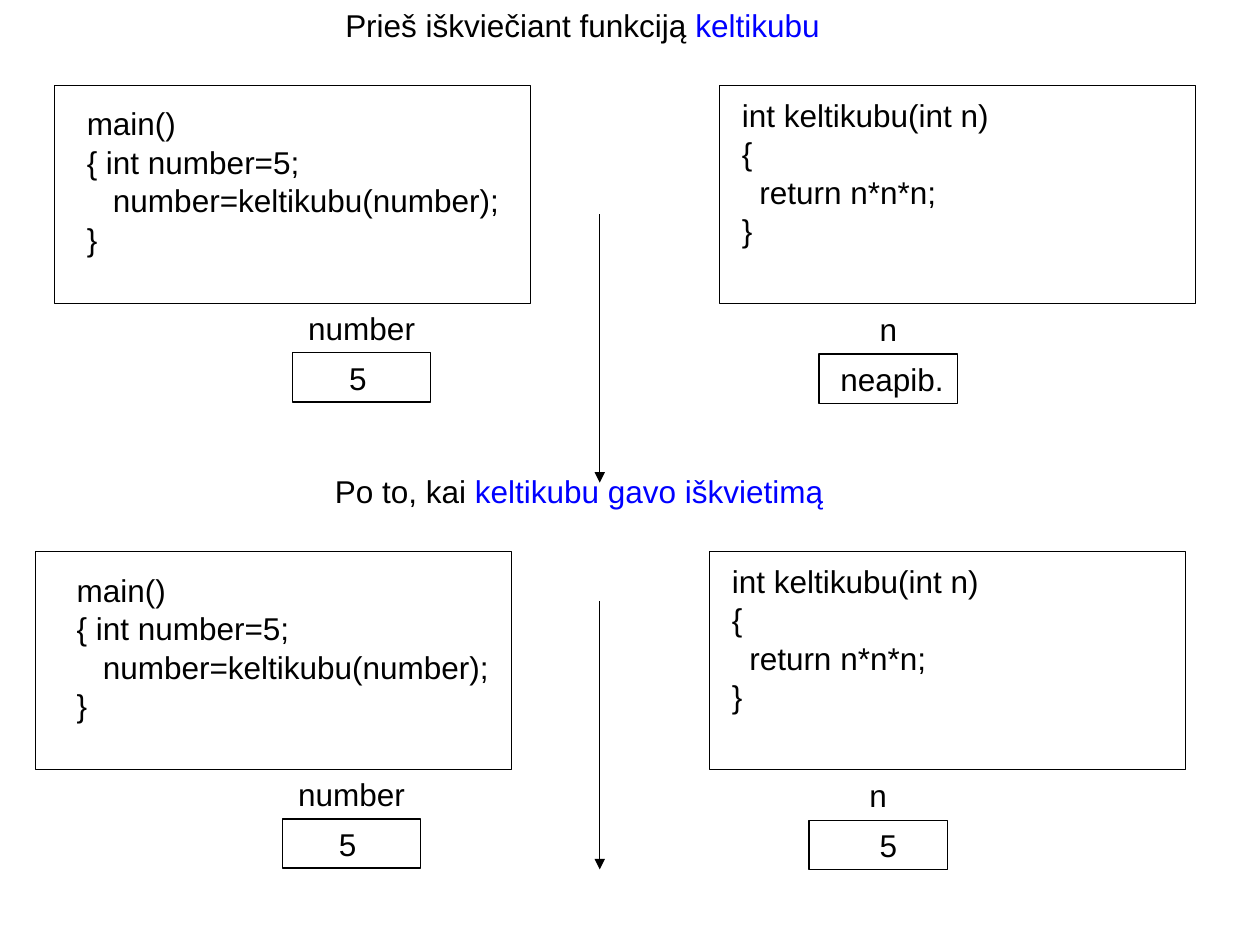
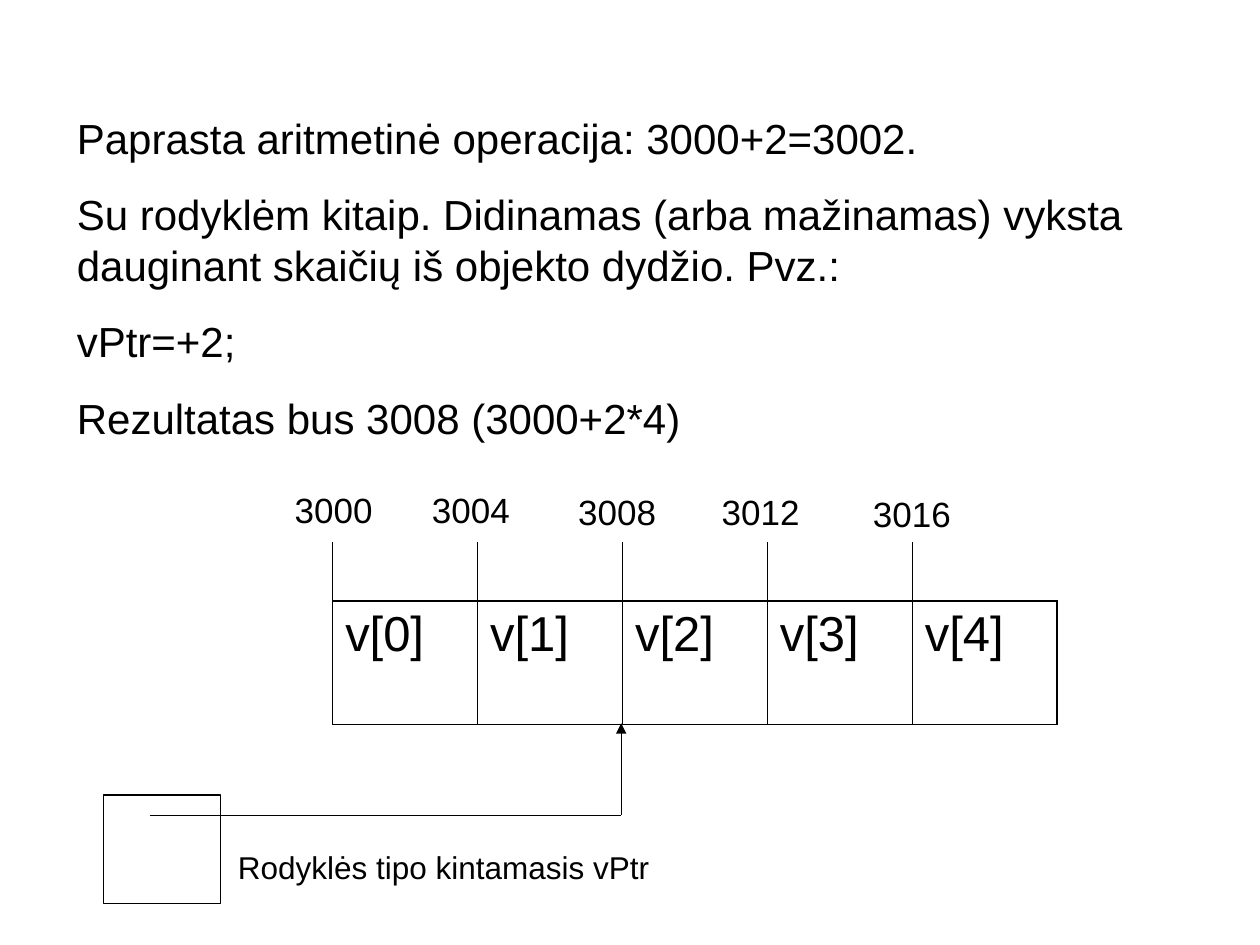
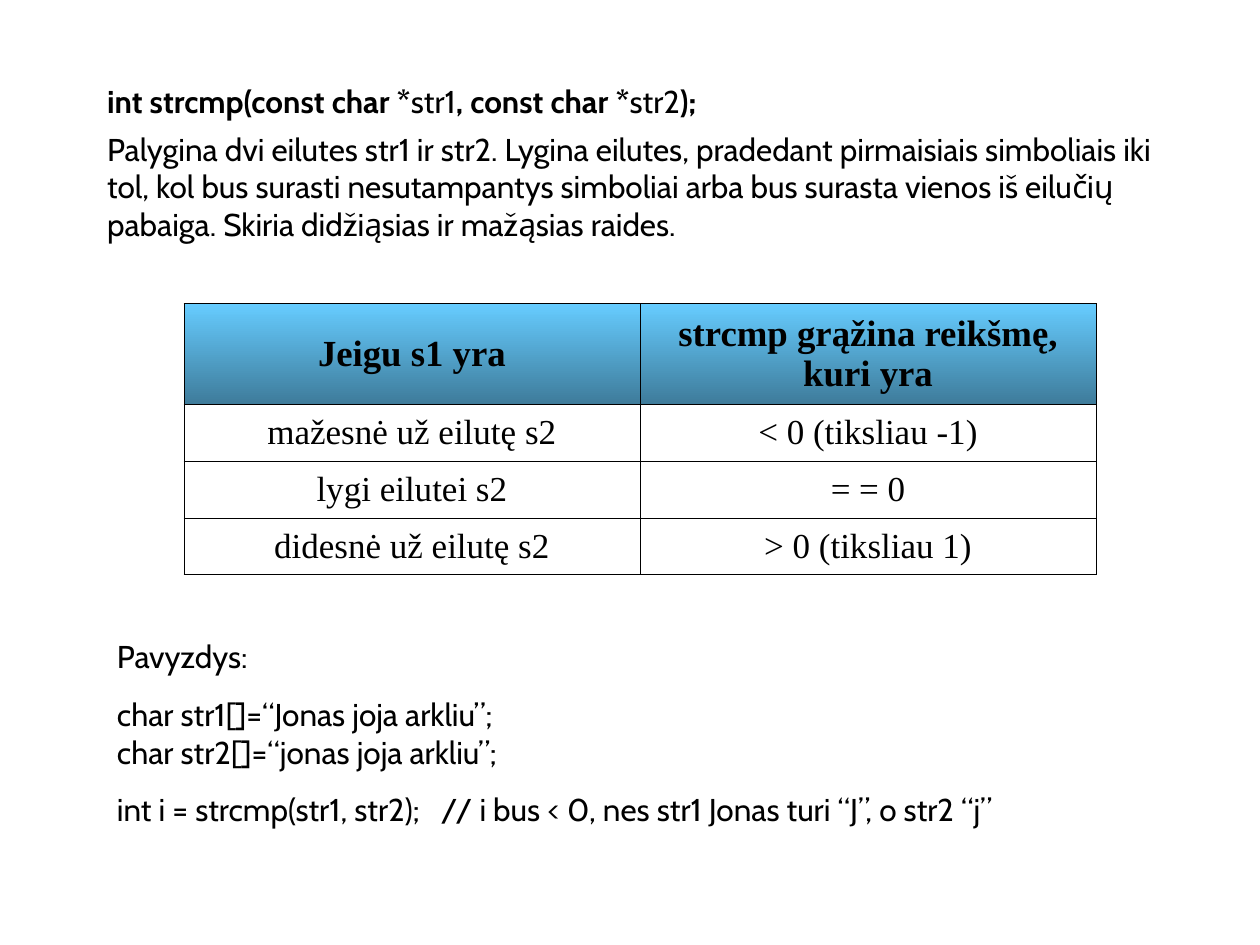
from dataclasses import dataclass, replace
from typing import Any, NamedTuple

from lxml import etree
from pptx import Presentation
from pptx import util as u
from pptx.dml.color import RGBColor
from pptx.enum import shapes, text
from pptx.oxml import ns


@dataclass(frozen=True)
class Theme:
    ink: str = "000000"
    blue: str = "0000FF"
    sky: str = "66CCFF"
    steel: str = "3E7B9A"
    sans: str = "Arial"
    soft: str = "Cabin"
    serif: str = "Times New Roman"
    note: int = 18
    mark: int = 20
    head: int = 21
    body: int = 24
    cell: int = 28
    line: float = 0.75
    thin: float = 0.45
    thick: float = 1.08


class Box(NamedTuple):
    x: float
    y: float
    w: float
    h: float


class Run(NamedTuple):
    text: str
    color: str = ""
    bold: bool = False


@dataclass(frozen=True)
class Style:
    font: str
    size: float
    before: float = 0
    pitch: float | None = None
    align: Any = text.PP_ALIGN.LEFT
    bold: bool = False


class State(NamedTuple):
    head: list[Run]
    value: str
    nudge: float
    dx: float
    dy: float
    main: float
    arrow: float


class Mark(NamedTuple):
    text: str
    x: float
    y: float


T = Theme()
WIDE, HIGH = u.Inches(10), u.Inches(7.5)
COL, ROW = WIDE / 100, HIGH / 75
MID = text.PP_ALIGN.CENTER
NOTE = Style(T.sans, T.note, 11.2)
CODE = replace(NOTE, pitch=0.5)
BODY = Style(T.sans, T.body, 15)
MARK = Style(T.sans, T.mark)
SOFT = Style(T.soft, T.note, 5.6)
CELL = Style(T.sans, T.cell)
DATA = Style(T.serif, T.mark, align=MID)
HEAD = replace(DATA, size=T.head, bold=True)

MAIN = ["main()", "{ int number=5;", "   number=keltikubu(number);", "}"]
CUBE = ["int keltikubu(int n)", "{", "  return n*n*n;", "}"]
STATES = [
    State([Run("Prieš iškviečiant funkciją "), Run("keltikubu", T.blue)],
          "neapib.", 0.3, 0, 0, 4.3, 17),
    State([Run("Po to, kai "), Run("keltikubu gavo iškvietimą", T.blue)],
          "5", 0.8, -0.8, 37, 2.8, 47.7),
]
MARKS = [
    Mark("3000", 22.4, 38.3), Mark("3004", 33.3, 38.3),
    Mark("3008", 44.9, 38.4), Mark("3012", 56.3, 38.4),
    Mark("3016", 68.3, 38.6),
]
FACTS = [
    "Paprasta aritmetinė operacija: 3000+2=3002.",
    "Su rodyklėm kitaip. Didinamas (arba mažinamas) vyksta "
    "dauginant skaičių iš objekto dydžio. Pvz.:",
    "vPtr=+2;",
    "Rezultatas bus 3008 (3000+2*4)",
]
INTRO = [
    [Run("int strcmp(const char *", bold=True), Run("str1"),
     Run(", const char *", bold=True), Run("str2"), Run(");", bold=True)],
    "Palygina dvi eilutes str1 ir str2. Lygina eilutes, pradedant pirmaisiais "
    "simboliais iki tol, kol bus surasti nesutampantys simboliai arba bus "
    "surasta vienos iš eilučių pabaiga. Skiria didžiąsias ir mažąsias raides.",
]
RESULTS = [
    ["Jeigu s1 yra", "strcmp grąžina reikšmę, kuri yra"],
    ["mažesnė už eilutę s2", "< 0 (tiksliau -1)"],
    ["lygi eilutei s2", "= = 0"],
    ["didesnė už eilutę s2", "> 0 (tiksliau 1)"],
]
SAMPLE = [
    "Pavyzdys:",
    "char str1[]=“Jonas joja arkliu”;\nchar str2[]=“jonas joja arkliu”;",
    "int i = strcmp(str1, str2);\t// i bus < 0, nes str1 Jonas turi “J”, o str2 “j”",
]


def put(item: Any, form: dict[str, Any]) -> None:
    for key, val in form.items():
        setattr(item, key, val)


def span(box: Box) -> list[int]:
    return [round(n * unit) for n, unit in zip(box, (COL, ROW, COL, ROW))]


def node(root: Any, tag: str, **form: str) -> Any:
    return etree.SubElement(root, ns.qn(tag), form)


def write(frame: Any, paras: list[Any], style: Style,
          plain: bool = False, tab: float = 0) -> None:
    for i, para in enumerate(paras):
        p = frame.paragraphs[0] if i == 0 else frame.add_paragraph()
        ppr = p._p.get_or_add_pPr()
        if plain:
            put_attr = {"marL": "0", "indent": "0"}
            for key, val in put_attr.items():
                ppr.set(key, val)
            node(ppr, "a:buNone")
        if tab:
            tabs = node(ppr, "a:tabLst")
            node(tabs, "a:tab", pos=str(round(tab * COL)), algn="l")
        put(p, {"alignment": style.align, "line_spacing": style.pitch,
                "space_before": u.Pt(style.before if i else 0)})
        for run in [Run(para)] if isinstance(para, str) else para:
            for j, part in enumerate(run.text.split("\n")):
                if j:
                    p.add_line_break()
                r = p.add_run()
                r.text = part
                put(r.font, {"name": style.font, "size": u.Pt(style.size),
                             "bold": run.bold or style.bold})
                r.font.color.rgb = RGBColor.from_string(run.color or T.ink)


def fit(frame: Any) -> None:
    put(frame, {"word_wrap": True, "vertical_anchor": text.MSO_ANCHOR.TOP,
                "auto_size": text.MSO_AUTO_SIZE.SHAPE_TO_FIT_TEXT})


def label(slide: Any, box: Box, paras: list[Any], style: Style,
          tab: float = 0) -> None:
    frame = slide.shapes.add_textbox(*span(box)).text_frame
    fit(frame)
    write(frame, paras, style, tab=tab)


def fill(holder: Any, box: Box, paras: list[Any], style: Style) -> None:
    put(holder, dict(zip(("left", "top", "width", "height"), span(box))))
    fit(holder.text_frame)
    write(holder.text_frame, paras, style, plain=True)


def frame(slide: Any, box: Box) -> None:
    rect = slide.shapes.add_shape(shapes.MSO_SHAPE.RECTANGLE, *span(box))
    rect.shadow.inherit = False
    rect.fill.background()
    rect.line.width = u.Pt(T.line)
    rect.line.color.rgb = RGBColor.from_string(T.ink)


def line(slide: Any, x: float, y: float, w: float, h: float,
         head: bool = False) -> None:
    ends = span(Box(x, y, x + w, y + h))
    rule = slide.shapes.add_connector(shapes.MSO_CONNECTOR.STRAIGHT, *ends)
    rule.line.width = u.Pt(T.line)
    rule.line.color.rgb = RGBColor.from_string(T.ink)
    if head:
        node(rule.line._get_or_add_ln(), "a:tailEnd", type="triangle")
    node(rule._element.spPr, "a:effectLst")


def edge(cell: Any, sides: dict[str, float]) -> None:
    root = cell._tc.get_or_add_tcPr()
    for side, size in sides.items():
        ln = node(root, f"a:ln{side}", w=str(u.Pt(size)))
        node(node(ln, "a:solidFill"), "a:srgbClr", val=T.ink)


def table(slide: Any, box: Box, data: list[list[str]], rows: list[float],
          styles: list[Style], outer: float, anchor: Any) -> Any:
    last = len(data) - 1, len(data[0]) - 1
    grid = slide.shapes.add_table(len(data), len(data[0]), *span(box)).table
    for col in grid.columns:
        col.width = round(box.w * COL / len(data[0]))
    for i, high in enumerate(rows):
        grid.rows[i].height = round(high * ROW)
        for j, word in enumerate(data[i]):
            cell = grid.cell(i, j)
            rims = {"L": j == 0, "R": j == last[1], "T": i == 0, "B": i == last[0]}
            edge(cell, {k: outer if rim else T.thin for k, rim in rims.items()})
            cell.fill.background()
            cell.vertical_anchor = anchor
            write(cell.text_frame, [word], styles[i])
    return grid


def slot(slide: Any, name: str, x: float, y: float, value: str,
         nudge: float) -> None:
    mid = replace(NOTE, align=MID)
    frame(slide, Box(x, y, 11, 3.9))
    label(slide, Box(x, y - 4, 11, 4), [name], mid)
    label(slide, Box(x + nudge, y, 11, 4), [value], mid)


def calls(deck: Any) -> None:
    slide = deck.slides.add_slide(deck.slide_layouts[5])
    for i, s in enumerate(STATES):
        place = Box(26.4 + s.dx, s.dy, 43.3, 4)
        if i == 0:
            fill(slide.shapes.title, place, [s.head], NOTE)
        else:
            label(slide, place, [s.head], NOTE)
        for x in (s.main, 57.1 + s.dx):
            frame(slide, Box(x, 6.8 + s.dy, 37.8, 17.3))
        label(slide, Box(5.9 + s.dx, 9.1 + s.dy, 36.2, 11.7), MAIN, CODE)
        label(slide, Box(57.9 + s.dx, 8.4 + s.dy, 36.2, 11.7), CUBE, CODE)
        slot(slide, "number", 23.2 + s.dx, 28 + s.dy, "5", -0.3)
        slot(slide, "n", 65 + s.dx, 28.1 + s.dy, s.value, s.nudge)
        line(slide, 47.6, s.arrow, 0, 21.3, True)


def page(deck: Any, box: Box, paras: list[Any], style: Style) -> Any:
    slide = deck.slides.add_slide(deck.slide_layouts[1])
    title = slide.shapes.title._element
    title.getparent().remove(title)
    fill(slide.placeholders[1], box, paras, style)
    return slide


def array(deck: Any) -> None:
    slide = page(deck, Box(5.1, 8.4, 88.2, 27.3), FACTS, BODY)
    left, top, step = 26.4, 47.7, 11.5
    names = [f"v[{i}]" for i in range(len(MARKS))]
    table(slide, Box(left, top, step * len(names), 9.8), [names], [9.8],
          [CELL], T.thick, text.MSO_ANCHOR.TOP)
    for i, mark in enumerate(MARKS):
        label(slide, Box(mark.x, mark.y, 8.7, 4.4), [mark.text], MARK)
        line(slide, left + i * step, top - 4.7, 0, 4.7)
    frame(slide, Box(8.2, 63.1, 9.3, 8.6))
    label(slide, Box(17.9, 66.8, 40.8, 4), ["Rodyklės tipo kintamasis vPtr"], NOTE)
    line(slide, 11.9, 64.7, 37.4, 0)
    line(slide, 49.3, 64.7, 0, -7.3, True)


def compare(deck: Any) -> None:
    slide = page(deck, Box(7.5, 6, 85.1, 13.8), INTRO, SOFT)
    grid = table(slide, Box(14.6, 24.1, 72.4, 21.6), RESULTS, [8, 4.5, 4.5, 4.5],
                 [HEAD] + [DATA] * 3, T.thin, text.MSO_ANCHOR.MIDDLE)
    for cell in grid.rows[0].cells:
        cell.fill.gradient()
        cell.fill.gradient_angle = 270
        for stop, color in zip(cell.fill.gradient_stops, (T.sky, T.steel)):
            stop.color.rgb = RGBColor.from_string(color)
    label(slide, Box(8.3, 50.1, 83.5, 16.2), SAMPLE, replace(SOFT, before=11.2), 25.7)


def main() -> None:
    deck = Presentation()
    put(deck, {"slide_width": WIDE, "slide_height": HIGH})
    for build in (calls, array, compare):
        build(deck)
    deck.save("out.pptx")


if __name__ == "__main__":
    main()
